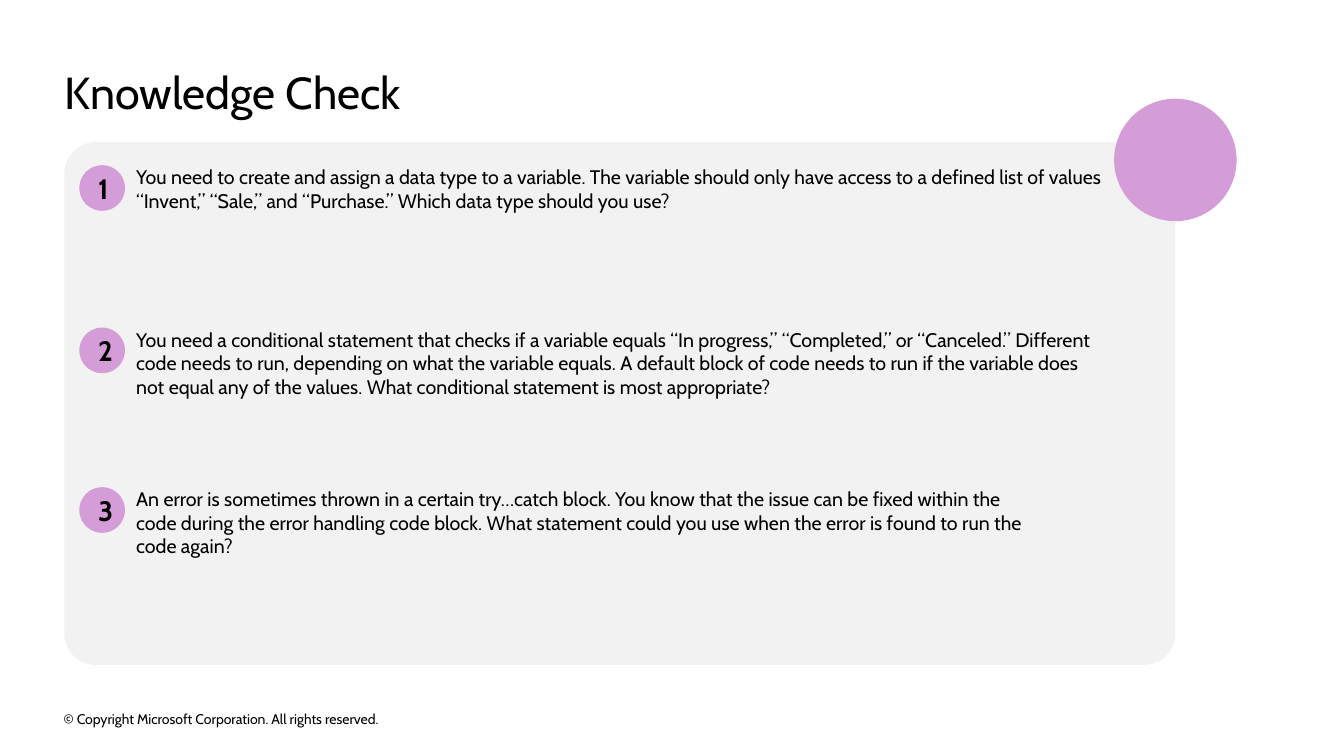
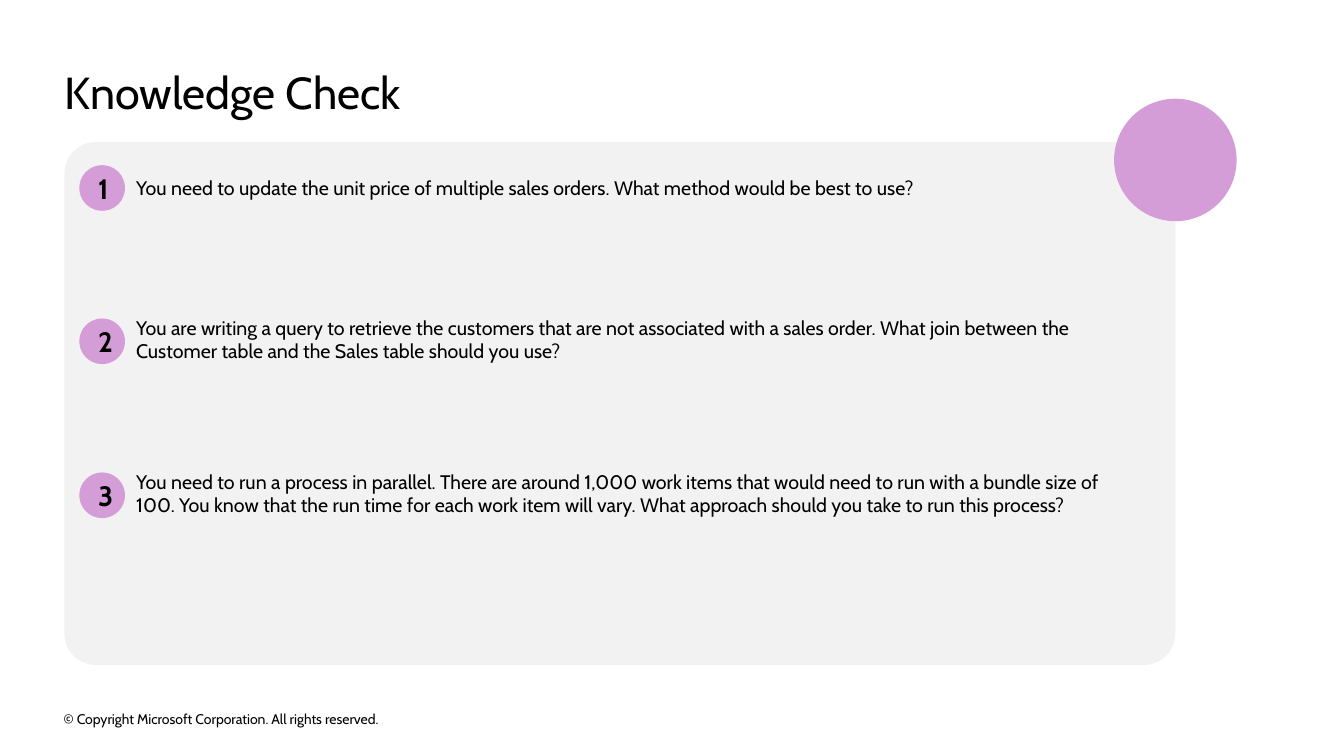
from pptx import Presentation
from pptx.dml.color import RGBColor
from pptx.enum.shapes import MSO_SHAPE as Shape
from pptx.enum.text import MSO_ANCHOR as Anchor, PP_ALIGN as Align
from pptx.util import Pt

COLORS = {"text": "000000", "panel": "F2F2F2", "accent": "D59DD7"}

CHECKS = [
    [
        (118, 118, "You need to create and assign a data type to a variable. The variable should only have access to a defined list of values “Invent,” “Sale,” and “Purchase.” Which data type should you use?"),
        (234, 234, "You need a conditional statement that checks if a variable equals “In progress,” “Completed,” or “Canceled.” Different code needs to run, depending on what the variable equals. A default block of code needs to run if the variable does not equal any of the values. What conditional statement is most appropriate?"),
        (348, 348, "An error is sometimes thrown in a certain try…catch block. You know that the issue can be fixed within the \ncode during the error handling code block. What statement could you use when the error is found to run the \ncode again?"),
    ],
    [
        (118, 125.5, "You need to update the unit price of multiple sales orders. What method would be best to use?"),
        (227.5, 225.5, "You are writing a query to retrieve the customers that are not associated with a sales order. What join between the Customer table and the Sales table should you use?"),
        (337.5, 335.5, "You need to run a process in parallel. There are around 1,000 work items that would need to run with a bundle size of 100. You know that the run time for each work item will vary. What approach should you take to run this process?"),
    ],
]


class Deck:
    """Knowledge check slides in one shared style."""

    font = "Cabin"
    left = 46
    title_text = "Knowledge Check"
    footer_text = "© Copyright Microsoft Corporation. All rights reserved."

    def __init__(self):
        self.presentation = Presentation()
        self.presentation.slide_width = Pt(960)
        self.presentation.slide_height = Pt(540)
        self.slide = None

    def add_slide(self):
        self.slide = self.presentation.slides.add_slide(self.presentation.slide_layouts[6])
        self.text(self.footer_text, 45.5, 505.5, 327, 16, 10, Anchor.MIDDLE)
        panel = self.shape(Shape.ROUNDED_RECTANGLE, self.left, 101.5, 793.5, 373.5, "panel")
        panel.adjustments[0] = 0.06
        self.shape(Shape.OVAL, 795.8, 70.5, 87.5, 87.5, "accent")
        self.text(self.title_text, self.left, 46, 869, 39, 32)

    def shape(self, kind, left, top, width, height, color):
        shape = self.slide.shapes.add_shape(kind, Pt(left), Pt(top), Pt(width), Pt(height))
        shape.shadow.inherit = False
        shape.fill.solid()
        shape.fill.fore_color.rgb = RGBColor.from_string(COLORS[color])
        shape.line.fill.background()
        return shape

    def set_text(self, shape, text, size, anchor, align=Align.LEFT, bold=False, margins=(0, 0)):
        frame = shape.text_frame
        frame.word_wrap = True
        frame.vertical_anchor = anchor
        frame.margin_left = frame.margin_right = Pt(margins[0])
        frame.margin_top = frame.margin_bottom = Pt(margins[1])
        paragraph = frame.paragraphs[0]
        paragraph.text = text
        paragraph.alignment = align
        font = paragraph.font
        font.name, font.size, font.bold = self.font, Pt(size), bold
        font.color.rgb = RGBColor.from_string(COLORS["text"])

    def text(self, text, left, top, width, height, size, anchor=Anchor.TOP):
        box = self.slide.shapes.add_textbox(Pt(left), Pt(top), Pt(width), Pt(height))
        self.set_text(box, text, size, anchor)

    def question(self, number, badge_top, text_top, text):
        badge = self.shape(Shape.OVAL, 56.7, badge_top, 32.6, 32.6, "accent")
        self.set_text(badge, str(number), 20, Anchor.MIDDLE, Align.CENTER, True, (14.4, 11.5))
        self.text(text, 97.2, text_top, 691, 51, 14)

    def save(self):
        self.presentation.save("out.pptx")


def main():
    deck = Deck()
    for questions in CHECKS:
        deck.add_slide()
        for number, (badge_top, text_top, text) in enumerate(questions, 1):
            deck.question(number, badge_top, text_top, text)
    deck.save()


if __name__ == "__main__":
    main()
